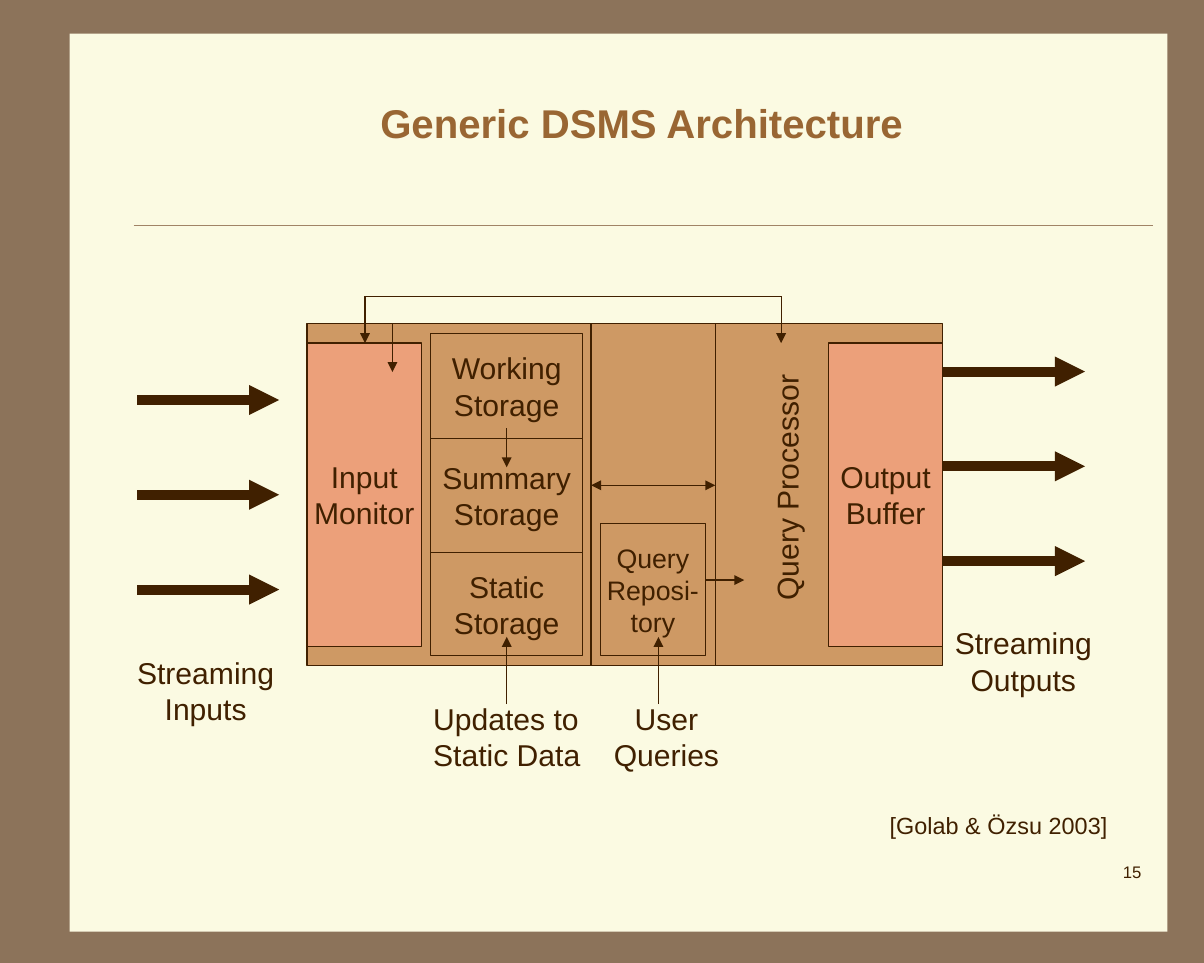
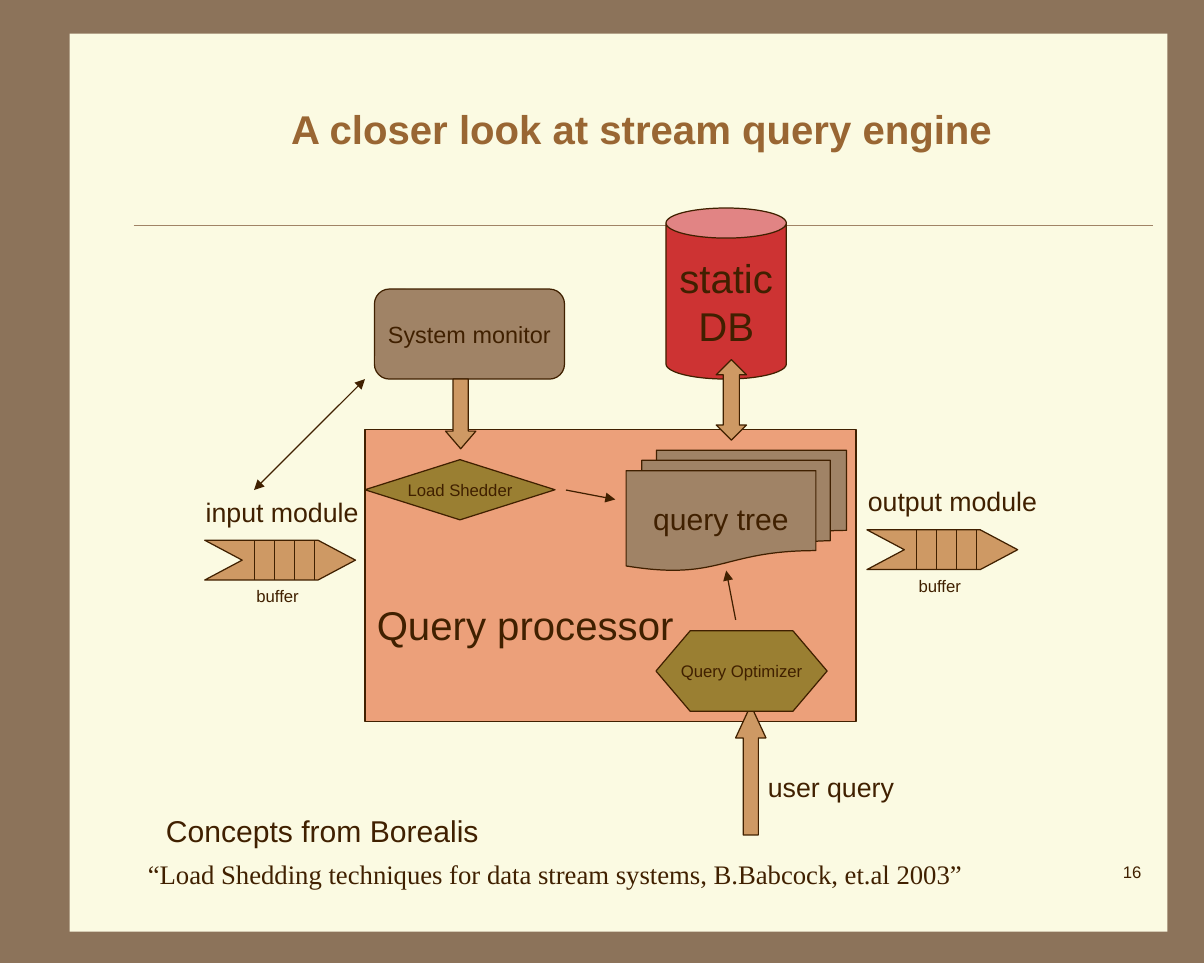
import lxml.etree
import pptx
import pptx.dml.color
import pptx.enum.shapes
import pptx.enum.text
import pptx.oxml.ns
import pptx.util

Cm = pptx.util.Cm
Pt = pptx.util.Pt
RGBColor = pptx.dml.color.RGBColor
KIND = pptx.enum.shapes.MSO_SHAPE
ALIGN = pptx.enum.text.PP_ALIGN
MIDDLE = pptx.enum.text.MSO_ANCHOR.MIDDLE
STRAIGHT = pptx.enum.shapes.MSO_CONNECTOR.STRAIGHT
qn = pptx.oxml.ns.qn

FRAME = RGBColor(0x8C, 0x73, 0x5A)
CREAM = RGBColor(0xFB, 0xFA, 0xE2)
TITLE = RGBColor(0x99, 0x66, 0x33)
INK = RGBColor(0x40, 0x20, 0x00)
TAN = RGBColor(0xCE, 0x99, 0x64)
SALMON = RGBColor(0xEC, 0xA0, 0x7A)
TAUPE = RGBColor(0xA0, 0x83, 0x66)
OLIVE = RGBColor(0x9A, 0x7F, 0x32)
RED = RGBColor(0xCD, 0x33, 0x33)


def put(slide, box, text="", size=18, kind=None, fill=None, align=ALIGN.CENTER,
        wrap=False, face="Arial", edge=INK):
    """Add a filled shape of the given kind, or a text box when kind is None."""
    place = [Cm(n) for n in box]
    if kind is None:
        shape = slide.shapes.add_textbox(*place)
    else:
        shape = slide.shapes.add_shape(kind, *place)
        shape.shadow.inherit = False
        shape.fill.solid()
        shape.fill.fore_color.rgb = fill
        if edge is None:
            shape.line.fill.background()
        else:
            shape.line.color.rgb = edge
            shape.line.width = Pt(0.75)
    frame = shape.text_frame
    frame.word_wrap = wrap
    if kind is not None:
        frame.vertical_anchor = MIDDLE
    if text:
        frame.text = text
        for par in frame.paragraphs:
            par.alignment = align
            par.font.name = face
            par.font.size = Pt(size)
            par.font.color.rgb = INK
    return shape


def link(slide, x1, y1, x2, y2, ends="", width=0.75, color=INK):
    """Draw a line; ends names the arrowheads, "tail" or "head tail"."""
    line = slide.shapes.add_connector(STRAIGHT, Cm(x1), Cm(y1), Cm(x2), Cm(y2))
    line.line.color.rgb = color
    line.line.width = Pt(width)
    props = line.element.spPr
    for end in ends.split():
        lxml.etree.SubElement(props.find(qn("a:ln")), qn(f"a:{end}End"), type="triangle")
    lxml.etree.SubElement(props, qn("a:effectLst"))
    return line


deck = pptx.Presentation()
deck.slide_width = Cm(25.4)
deck.slide_height = Cm(20.32)
master = deck.slide_master
master.background.fill.solid()
master.background.fill.fore_color.rgb = FRAME

# Title, page number and top of the title on each slide
pages = []
for title, number, top in (
    ("Generic DSMS Architecture", "15", 1.35),
    ("A closer look at stream query engine", "16", 1.47),
):
    page = deck.slides.add_slide(deck.slide_layouts[5])
    head = page.shapes.title
    head.left, head.top, head.width, head.height = Cm(2.74), Cm(top), Cm(21.59), Cm(2.46)
    head.text_frame.text = title
    head.text_frame.vertical_anchor = MIDDLE
    par = head.text_frame.paragraphs[0]
    par.alignment = ALIGN.CENTER
    par.font.name = "Arial"
    par.font.size = Pt(24)
    par.font.bold = True
    par.font.color.rgb = TITLE
    put(page, (19.05, 18.06, 5.28, 1.35), number, 10, align=ALIGN.RIGHT, wrap=True)
    pages.append(page)
arch, engine = pages

# The panel and the rule move to the master, behind its placeholders
panel = put(arch, (1.47, 0.71, 23.16, 18.95), kind=KIND.RECTANGLE, fill=CREAM, edge=None)
rule = link(arch, 2.82, 4.75, 24.33, 4.75, width=0.25, color=TAUPE)
for i, part in enumerate((panel, rule)):
    part.element.xpath(".//p:cNvPr")[0].set("id", str(100 + i))
    master.shapes.element.insert(2 + i, part.element)

# Slide 15: architecture
for i in range(3):
    link(arch, 2.9, 8.44 + 2 * i, 5.89, 8.44 + 2 * i, "tail", 6)
    link(arch, 19.89, 7.84 + 2 * i, 22.89, 7.84 + 2 * i, "tail", 6)

for box, text, size, fill in (
    ((6.48, 6.83, 13.41, 7.21), "", 18, TAN),
    ((6.48, 7.24, 2.41, 6.4), "Input\nMonitor", 18, SALMON),
    ((17.48, 7.24, 2.41, 6.4), "Output\nBuffer", 18, SALMON),
    ((12.67, 11.05, 2.21, 2.79), "Query\nReposi-\ntory", 16, TAN),
    ((9.09, 7.04, 3.2, 2.21), "Working\nStorage", 18, TAN),
    ((9.09, 9.25, 3.2, 2.41), "Summary\nStorage", 18, TAN),
    ((9.09, 11.66, 3.2, 2.18), "Static\nStorage", 18, TAN),
):
    put(arch, box, text, size, KIND.RECTANGLE, fill)

for x in (12.47, 15.09):
    link(arch, x, 6.83, x, 14.04)
put(arch, (13.6, 9.78, 6, 1.02), "Query Processor").rotation = 270

for x, start, end in (
    (10.69, 9.04, 9.86),
    (10.69, 14.86, 13.44),
    (13.89, 14.86, 13.44),
    (7.7, 6.25, 7.24),
    (16.48, 6.25, 7.24),
    (8.28, 6.83, 7.85),
):
    link(arch, x, start, x, end, "tail")
link(arch, 7.7, 6.25, 16.48, 6.25)
link(arch, 14.88, 12.24, 15.7, 12.24, "tail")
link(arch, 12.47, 10.24, 15.09, 10.24, "head tail")

for box, text, size, align in (
    ((2.54, 13.69, 3.6, 1.78), "Streaming\nInputs", 18, ALIGN.CENTER),
    ((19.79, 13.06, 3.6, 1.78), "Streaming\nOutputs", 18, ALIGN.CENTER),
    ((8.89, 14.66, 3.8, 1.78), "Updates to\nStatic Data", 18, ALIGN.LEFT),
    ((12.46, 14.66, 3.2, 1.78), "User\nQueries", 18, ALIGN.CENTER),
    ((18.52, 16.99, 5.4, 0.86), "[Golab & Özsu 2003]", 14, ALIGN.LEFT),
):
    put(arch, box, text, size, align=align)

# Slide 16: query engine
for x, y, label in ((4.32, 11.4, "input module"), (18.29, 11.18, "output module")):
    draft = engine.shapes.build_freeform(Cm(x), Cm(y))
    notch = ((2.39, 0), (3.18, 0.42), (2.39, 0.84), (0, 0.84), (0.79, 0.42))
    draft.add_line_segments([(Cm(x + dx), Cm(y + dy)) for dx, dy in notch])
    queue = draft.convert_to_shape()
    queue.shadow.inherit = False
    queue.fill.solid()
    queue.fill.fore_color.rgb = TAN
    queue.line.color.rgb = INK
    queue.line.width = Pt(0.75)
    for i in range(4):
        tick = x + 1.05 + 0.42 * i
        link(engine, tick, y, tick, y + 0.84)
    put(engine, (x + 0.84, y + 0.84, 1.7, 0.69), "buffer", 10, align=ALIGN.LEFT, wrap=True)
    put(engine, (x - 0.23, y - 1.07, 4.24, 0.94), label, 16, align=ALIGN.LEFT, wrap=True)

core = put(engine, (7.7, 9.07, 10.36, 6.15), "Query processor", 24, KIND.RECTANGLE, SALMON,
           ALIGN.LEFT, wrap=True)
core.text_frame.margin_top = Cm(2.2)

for kind, box, fill, text, size, point in (
    (KIND.UP_ARROW, (15.52, 14.88, 0.64, 2.74), TAN, "", 18, 1.08),
    (KIND.CAN, (14.05, 4.39, 2.54, 3.61), RED, "static\nDB", 24, None),
    (KIND.UP_DOWN_ARROW, (15.11, 7.59, 0.64, 1.7), TAN, "", 18, 0.53),
    (KIND.FLOWCHART_PREPARATION, (13.84, 13.31, 3.61, 1.7), OLIVE, "Query Optimizer", 10, None),
    (KIND.FLOWCHART_MULTIDOCUMENT, (13.21, 9.5, 4.65, 2.54), TAUPE, "query tree", 18, None),
    (KIND.FLOWCHART_DECISION, (7.7, 9.7, 4.01, 1.27), OLIVE, "Load Shedder", 10, None),
    (KIND.FLOWCHART_ALTERNATE_PROCESS, (7.9, 6.1, 4.01, 1.9), TAUPE, "System monitor", 14, None),
    (KIND.DOWN_ARROW, (9.4, 8, 0.64, 1.47), TAN, "", 18, 0.58),
):
    shape = put(engine, box, text, size, kind, fill)
    if point:
        shape.adjustments[1] = point

link(engine, 11.94, 10.34, 12.98, 10.54, "tail")
link(engine, 15.52, 13.08, 15.32, 12.04, "tail")
link(engine, 5.36, 10.34, 7.7, 8, "head tail")

put(engine, (15.95, 16.13, 3.81, 0.94), "user query", 16, align=ALIGN.LEFT, wrap=True)
put(engine, (3.25, 17.02, 9.32, 1.02), "Concepts from Borealis", align=ALIGN.LEFT, wrap=True)
put(engine, (2.87, 17.98, 18.5, 0.94),
    "“Load Shedding techniques for data stream systems, B.Babcock, et.al 2003”",
    16, align=ALIGN.LEFT, face="Times New Roman")

deck.save("out.pptx")
